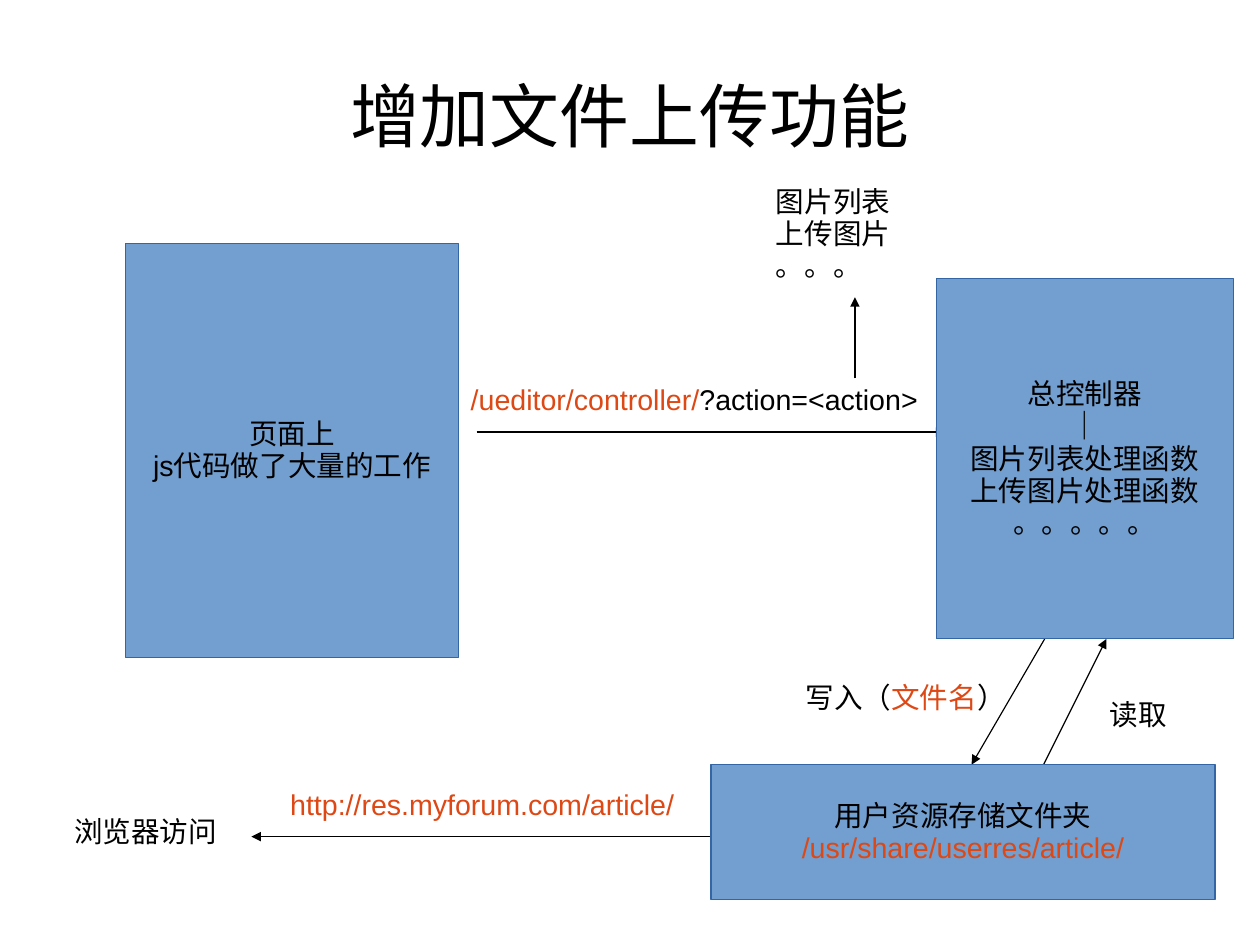
"""Build the slide that explains how file upload works."""
from lxml.etree import SubElement
from pptx import Presentation
from pptx.dml.color import RGBColor
from pptx.enum.shapes import MSO_CONNECTOR, MSO_SHAPE
from pptx.enum.text import MSO_ANCHOR, MSO_AUTO_SIZE, PP_ALIGN
from pptx.oxml.ns import qn
from pptx.util import Cm, Inches, Pt

TITLE = "增加文件上传功能"
TITLE_AREA = (0.55, 0.33, 9.92, 1.38)

BOXES = [
    ((1.1, 2.13, 2.91, 3.62), [
        [("页面上", "text")],
        [("js代码做了大量的工作", "text")],
    ]),
    ((8.19, 2.44, 2.6, 3.15), [
        [("总控制器", "text")],
        [("｜", "text")],
        [("图片列表处理函数", "text")],
        [("上传图片处理函数", "text")],
        [("。。。。。", "text")],
    ]),
    ((6.22, 6.69, 4.41, 1.18), [
        [("用户资源存储文件夹", "text")],
        [("/usr/share/userres/article/", "accent")],
    ]),
]

LABELS = [
    ((4.02, 3.31, 4.1, 0.38), [
        [("/ueditor/controller/", "accent"), ("?action=<action>", "text")],
    ]),
    ((6.69, 1.57, 1.2, 1.09), [
        [("图片列表", "text")],
        [("上传图片", "text")],
        [("。。。", "text")],
    ]),
    ((6.95, 5.91, 1.95, 0.43), [
        [("写入（", "text"), ("文件名", "accent"), ("）", "text")],
    ]),
    ((9.61, 6.06, 0.7, 0.43), [[("读取", "text")]]),
    ((0.55, 7.09, 1.45, 0.43), [[("浏览器访问", "text")]]),
    ((2.44, 6.85, 3.56, 0.38), [[("http://res.myforum.com/article/", "accent")]]),
]

ARROWS = [
    (4.17, 3.78, 8.27, 3.78),
    (7.48, 3.31, 7.48, 2.6),
    (9.14, 5.59, 8.5, 6.69),
    (9.13, 6.69, 9.68, 5.59),
    (6.22, 7.32, 2.2, 7.32),
]

THEME = {
    "text": RGBColor.from_string("000000"),
    "accent": RGBColor.from_string("DD4814"),
    "fill": RGBColor.from_string("729FCF"),
    "outline": RGBColor.from_string("3465A4"),
    "font": "Arial",
    "title_size": Pt(44),
    "body_size": Pt(18),
    "line_width": Pt(0.75),
    "line_spacing": 0.94,
}

BODY_FRAME = {
    "word_wrap": False,
    "auto_size": MSO_AUTO_SIZE.NONE,
    "margin_left": Inches(0.1),
    "margin_top": Inches(0.06),
    "margin_right": Inches(0.1),
    "margin_bottom": Inches(0.05),
}
BOX_FRAME = {**BODY_FRAME, "vertical_anchor": MSO_ANCHOR.MIDDLE}
LABEL_FRAME = {**BODY_FRAME, "vertical_anchor": MSO_ANCHOR.TOP}
TITLE_FRAME = {
    "word_wrap": True,
    "auto_size": MSO_AUTO_SIZE.NONE,
    "vertical_anchor": MSO_ANCHOR.MIDDLE,
    "margin_left": 0,
    "margin_top": Inches(0.04),
    "margin_right": 0,
    "margin_bottom": 0,
}


def apply(target, values):
    for attribute, value in values.items():
        setattr(target, attribute, value)


def inches(lengths):
    return [Inches(length) for length in lengths]


def write(frame, lines, frame_format, alignment, size):
    apply(frame, frame_format)
    for index, line in enumerate(lines):
        paragraph = frame.add_paragraph() if index else frame.paragraphs[0]
        apply(paragraph, {"alignment": alignment, "line_spacing": THEME["line_spacing"]})
        for words, color in line:
            run = paragraph.add_run()
            run.text = words
            apply(run.font, {"name": THEME["font"], "size": size})
            run.font.color.rgb = THEME[color]


def add_title(slide):
    title = slide.shapes.title
    apply(title, dict(zip(("left", "top", "width", "height"), inches(TITLE_AREA))))
    write(title.text_frame, [[(TITLE, "text")]], TITLE_FRAME,
          PP_ALIGN.CENTER, THEME["title_size"])


def add_arrow(slide, ends):
    arrow = slide.shapes.add_connector(MSO_CONNECTOR.STRAIGHT, *inches(ends))
    arrow.line.color.rgb = THEME["text"]
    arrow.line.width = THEME["line_width"]
    SubElement(arrow.line._get_or_add_ln(), qn("a:tailEnd"), type="triangle")
    SubElement(arrow._element.spPr, qn("a:effectLst"))


def add_box(slide, area, lines):
    box = slide.shapes.add_shape(MSO_SHAPE.RECTANGLE, *inches(area))
    box.shadow.inherit = False
    box.fill.solid()
    box.fill.fore_color.rgb = THEME["fill"]
    box.line.color.rgb = THEME["outline"]
    box.line.width = THEME["line_width"]
    write(box.text_frame, lines, BOX_FRAME, PP_ALIGN.CENTER, THEME["body_size"])


def add_label(slide, area, lines):
    label = slide.shapes.add_textbox(*inches(area))
    write(label.text_frame, lines, LABEL_FRAME, PP_ALIGN.LEFT, THEME["body_size"])


def main():
    deck = Presentation()
    deck.slide_width = Cm(28)
    deck.slide_height = Cm(21)
    slide = deck.slides.add_slide(deck.slide_layouts.get_by_name("Title Only"))
    add_title(slide)
    for ends in ARROWS:
        add_arrow(slide, ends)
    for area, lines in BOXES:
        add_box(slide, area, lines)
    for area, lines in LABELS:
        add_label(slide, area, lines)
    deck.save("out.pptx")


if __name__ == "__main__":
    main()
